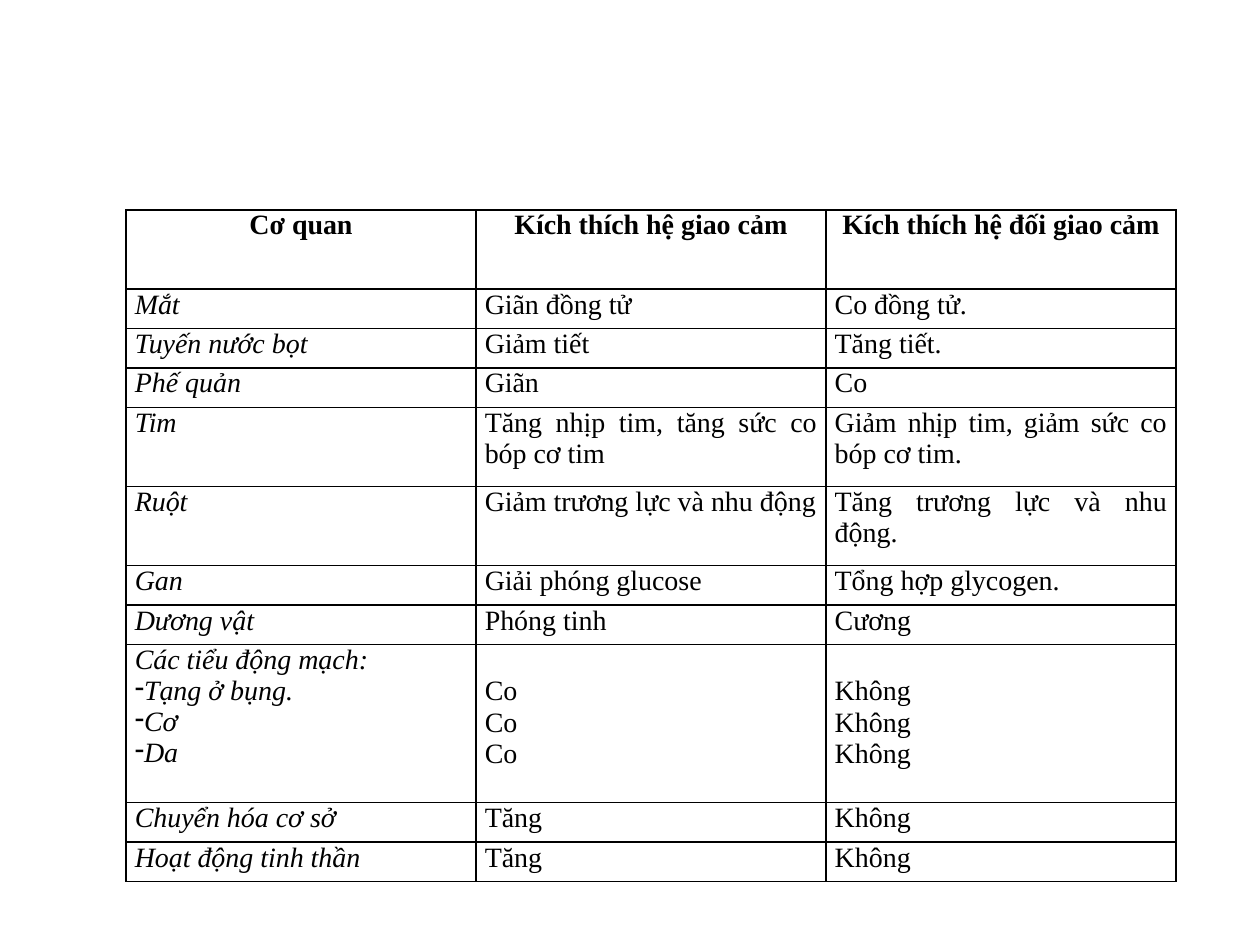
from lxml.etree import SubElement
from pptx import Presentation
from pptx.dml.color import RGBColor
from pptx.enum.text import PP_ALIGN
from pptx.oxml.ns import qn
from pptx.util import Inches, Pt

BLACK = RGBColor(0, 0, 0)
FONT_NAME = "Times New Roman"
FONT_SIZE = Pt(16)
LINE_HEIGHT = Inches(0.25)
SIDE_MARGIN = Inches(0.07)
BULLET = "-"
ROW_UNITS = [2, 1, 1, 1, 2, 2, 1, 1, 4, 1, 1]
ROWS = [
    ["Cơ quan", "Kích thích hệ giao cảm", "Kích thích hệ đối giao cảm"],
    ["Mắt", "Giãn đồng tử", "Co đồng tử."],
    ["Tuyến nước bọt", "Giảm tiết", "Tăng tiết."],
    ["Phế quản", "Giãn", "Co"],
    ["Tim", "Tăng nhịp tim, tăng sức co bóp cơ tim", "Giảm nhịp tim, giảm sức co bóp cơ tim."],
    ["Ruột", "Giảm trương lực và nhu động", "Tăng trương lực và nhu động."],
    ["Gan", "Giải phóng glucose", "Tổng hợp glycogen."],
    ["Dương vật", "Phóng tinh", "Cương"],
    ["Các tiểu động mạch:\nTạng ở bụng.\nCơ\nDa", "Co\nCo\nCo", "Không\nKhông\nKhông"],
    ["Chuyển hóa cơ sở", "Tăng", "Không"],
    ["Hoạt động tinh thần", "Tăng", "Không"],
]


def add_borders(cell):
    """Draw a thin black line on each side of a cell."""
    properties = cell._tc.get_or_add_tcPr()
    for side in ("a:lnL", "a:lnR", "a:lnT", "a:lnB"):
        line = SubElement(properties, qn(side), w=str(Pt(1)))
        fill = SubElement(line, qn("a:solidFill"))
        SubElement(fill, qn("a:srgbClr"), val=str(BLACK))


def add_bullet(paragraph):
    """Put a dash in front of a paragraph, without an indent."""
    properties = paragraph._p.get_or_add_pPr()
    properties.set("marL", "0")
    properties.set("indent", "0")
    SubElement(properties, qn("a:buChar"), char=BULLET)


def fill_cell(cell, text, is_header, is_organ, lines_above):
    """Write and format one cell, leaving whole lines free above its text."""
    add_borders(cell)
    cell.fill.background()
    cell.margin_left = cell.margin_right = SIDE_MARGIN
    cell.margin_top = LINE_HEIGHT * lines_above
    cell.margin_bottom = 0
    cell.text_frame.text = text
    for index, paragraph in enumerate(cell.text_frame.paragraphs):
        paragraph.alignment = PP_ALIGN.CENTER if is_header else PP_ALIGN.JUSTIFY
        if is_organ and index > 0:
            add_bullet(paragraph)
        for run in paragraph.runs:
            run.font.name = FONT_NAME
            run.font.size = FONT_SIZE
            run.font.color.rgb = BLACK
            run.font.bold = is_header
            run.font.italic = is_organ and not is_header


def add_organ_table(slide, left, top, width, height):
    """Build the table of organs and nerve effects inside the given box."""
    column_count = len(ROWS[0])
    table = slide.shapes.add_table(len(ROWS), column_count, left, top, width, height).table
    table.first_row = table.horz_banding = False
    for column in table.columns:
        column.width = width // column_count
    for row_index, texts in enumerate(ROWS):
        table.rows[row_index].height = height * ROW_UNITS[row_index] // sum(ROW_UNITS)
        line_count = texts[0].count("\n")
        for column_index, text in enumerate(texts):
            lines_above = line_count - text.count("\n")
            fill_cell(table.cell(row_index, column_index), text, row_index == 0, column_index == 0, lines_above)


def main():
    """Create the presentation and save it."""
    presentation = Presentation()
    presentation.slide_width = slide_width = Inches(10)
    presentation.slide_height = slide_height = Inches(7.5)
    slide = presentation.slides.add_slide(presentation.slide_layouts[6])
    add_organ_table(
        slide,
        left=slide_width // 10,
        top=slide_height * 2 // 9,
        width=slide_width * 5 // 6,
        height=slide_height * 32 // 45,
    )
    presentation.save("out.pptx")


if __name__ == "__main__":
    main()
